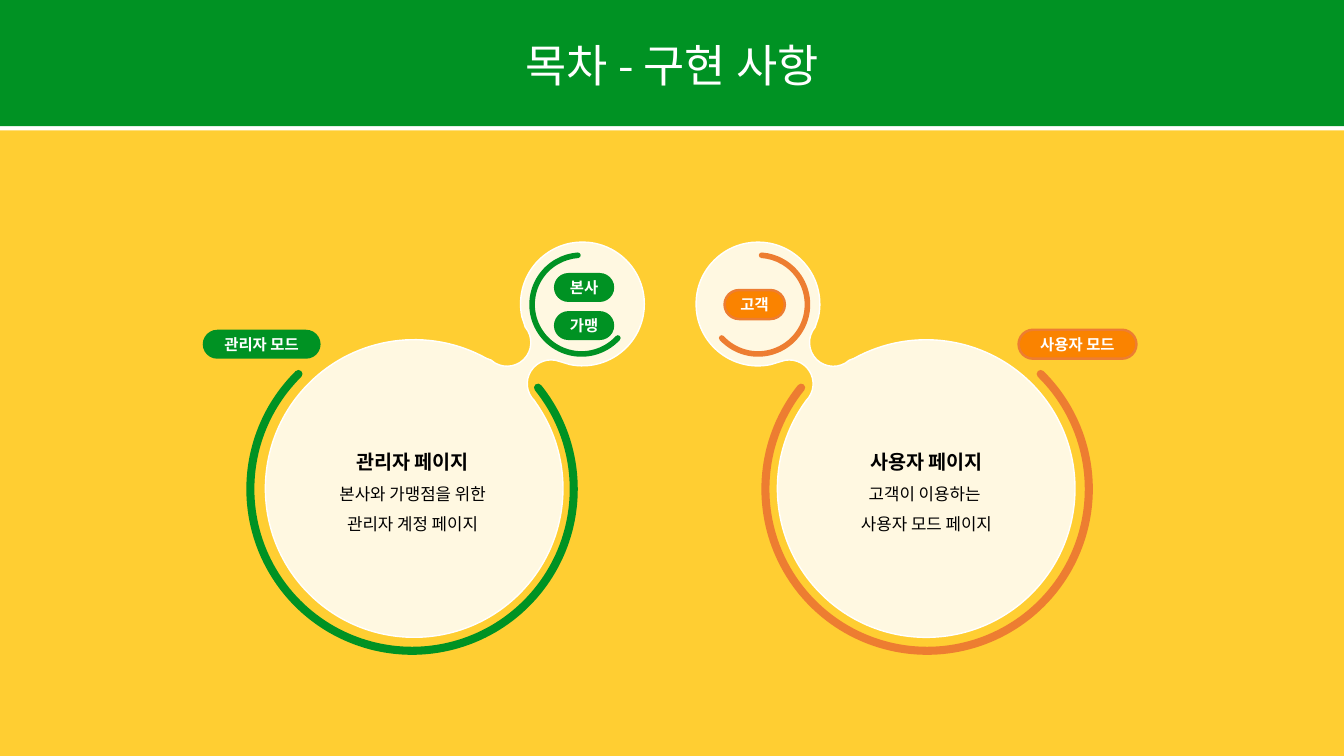
from dataclasses import dataclass
from math import cos, radians, sin, tan

from lxml import etree
from pptx import Presentation
from pptx import util as u
from pptx.dml.color import RGBColor
from pptx.enum import shapes, text
from pptx.oxml import ns

FONT = "Noto Sans CJK KR"
GREEN, ORANGE, ORANGE_LINE = "009223", "FA8300", "ED7D31"
YELLOW, CREAM, WHITE, BLACK = "FFCE32", "FFF8E1", "FFFFFF", "000000"
MIRROR_WIDTH = 33.78


@dataclass
class Box:
    left: float
    top: float
    width: float
    height: float

    def lengths(self) -> list:
        return [u.Cm(value) for value in (self.left, self.top, self.width, self.height)]


@dataclass
class Curve:
    x: float
    y: float
    radius: float
    angles: list

    def point(self, angle: float, lead: float = 0) -> tuple:
        a = radians(angle)
        return (self.x + self.radius * (cos(a) - lead * sin(a)),
                self.y + self.radius * (sin(a) + lead * cos(a)))

    def steps(self) -> list:
        result = [[self.point(self.angles[0])]]
        for start, end in zip(self.angles, self.angles[1:]):
            lead = 4 / 3 * tan(radians(end - start) / 4)
            result.append([self.point(start, lead), self.point(end, -lead), self.point(end)])
        return result


@dataclass
class Ring:
    box: Box
    start: float
    end: float
    weight: float


@dataclass
class Pill:
    box: Box
    label: str


@dataclass
class Side:
    mirrored: bool
    fill: str
    ring_color: str
    outlined: bool
    text_box: Box
    lines: list
    rings: list
    pills: list


BLOB_CENTER = (11.9, 10.86)
BLOB_CURVES = [
    Curve(14.68, 7.65, 1.56, [168, 225, 315, 405, 462]),
    Curve(13.89, 9.66, 0.6, [290, 212, 135]),
    Curve(10.44, 12.3, 3.75, [-34, 45, 135, 225, 299]),
    Curve(12.78, 8.62, 0.6, [132, 46, -40]),
]

SIDES = [
    Side(False, GREEN, GREEN, False, Box(7.34, 10.92, 6.12, 2.69),
         ["관리자 페이지", "본사와 가맹점을 위한", "관리자 계정 페이지"],
         [Ring(Box(6.31, 8.25, 8.15, 8.15), 321.16, 225.38, 5.75),
          Ring(Box(13.41, 6.43, 2.49, 2.49), 42.62, 265.87, 4)],
         [Pill(Box(5.11, 8.31, 2.97, 0.73), "관리자 모드"),
          Pill(Box(13.96, 6.88, 1.52, 0.73), "본사"),
          Pill(Box(13.96, 7.84, 1.52, 0.73), "가맹")]),
    Side(True, ORANGE, ORANGE_LINE, True, Box(20.29, 10.92, 6.12, 2.69),
         ["사용자 페이지", "고객이 이용하는 ", "사용자 모드 페이지"],
         [Ring(Box(19.29, 8.25, 8.15, 8.15), 314.62, 218.84, 5.75),
          Ring(Box(17.86, 6.43, 2.49, 2.49), 274.13, 137.38, 4)],
         [Pill(Box(25.67, 8.31, 2.97, 0.73), "사용자 모드"),
          Pill(Box(18.26, 7.31, 1.52, 0.73), "고객")]),
]


def color(value: str) -> RGBColor:
    return RGBColor.from_string(value)


def style(shape, fill: str | None, line: str | None = None, weight: float = 1) -> None:
    shape.shadow.inherit = False
    if fill:
        shape.fill.solid()
        shape.fill.fore_color.rgb = color(fill)
    else:
        shape.fill.background()
    if line:
        shape.line.color.rgb = color(line)
        shape.line.width = u.Pt(weight)
    else:
        shape.line.fill.background()


def set_font(paragraph, size: float, value: str, bold: bool = False) -> None:
    paragraph.alignment = text.PP_ALIGN.CENTER
    font = paragraph.font
    font.name, font.size, font.bold = FONT, u.Pt(size), bold
    font.color.rgb = color(value)
    etree.SubElement(font._rPr, ns.qn("a:ea"), typeface=FONT)


def add_text_box(slide, box: Box, content: str) -> list:
    frame = slide.shapes.add_textbox(*box.lengths()).text_frame
    frame.word_wrap = True
    frame.auto_size = text.MSO_AUTO_SIZE.SHAPE_TO_FIT_TEXT
    frame.text = content
    for paragraph in frame.paragraphs:
        paragraph.line_spacing = 1.5
    return frame.paragraphs


def draw_header(slide) -> None:
    band = slide.shapes.add_shape(shapes.MSO_SHAPE.RECTANGLE, *Box(0, 0, 33.87, 3.18).lengths())
    style(band, GREEN)
    effects = band._element.spPr.find(ns.qn("a:effectLst"))
    shadow = etree.SubElement(effects, ns.qn("a:outerShdw"), blurRad="0",
                              dist=str(u.Pt(3)), dir="5400000", algn="t", rotWithShape="0")
    etree.SubElement(shadow, ns.qn("a:srgbClr"), val=WHITE)
    title = add_text_box(slide, Box(8.47, 0.15, 16.94, 2.31), "목차 - 구현 사항")
    set_font(title[0], 32, WHITE)


def blob_point(point: tuple, mirrored: bool) -> tuple:
    center_x, center_y = BLOB_CENTER
    dx, dy = point[0] - center_x, point[1] - center_y
    turn = radians(-45)
    x = center_x + dx * cos(turn) - dy * sin(turn)
    y = center_y + dx * sin(turn) + dy * cos(turn)
    return u.Cm(MIRROR_WIDTH - x if mirrored else x), u.Cm(y)


def draw_blob(slide, mirrored: bool) -> None:
    steps = [[blob_point(point, mirrored) for point in step]
             for curve in BLOB_CURVES for step in curve.steps()]
    builder = slide.shapes.build_freeform(*steps[0][-1])
    builder.add_line_segments([step[-1] for step in steps[1:]], close=True)
    blob = builder.convert_to_shape()
    segments = list(blob._element.iter(ns.qn("a:lnTo")))
    for segment, step in zip(segments, steps[1:]):
        if len(step) == 3:
            segment.tag = ns.qn("a:cubicBezTo")
            for index, (x, y) in enumerate(step[:2]):
                control = etree.Element(ns.qn("a:pt"), x=str(x - blob.left), y=str(y - blob.top))
                segment.insert(index, control)
    blob.rotation = 315 if mirrored else 45
    style(blob, CREAM, WHITE)


def draw_ring(slide, ring: Ring, line: str) -> None:
    arc = slide.shapes.add_shape(shapes.MSO_SHAPE.ARC, *ring.box.lengths())
    arc.adjustments[0] = ring.start * 0.6
    arc.adjustments[1] = ring.end * 0.6
    style(arc, None, line, ring.weight)
    arc.line._get_or_add_ln().set("cap", "rnd")


def draw_pill(slide, pill: Pill, fill: str, line: str | None) -> None:
    shape = slide.shapes.add_shape(shapes.MSO_SHAPE.ROUNDED_RECTANGLE, *pill.box.lengths())
    shape.adjustments[0] = 0.5
    style(shape, fill, line, 1.75)
    frame = shape.text_frame
    frame.word_wrap = False
    frame.vertical_anchor = text.MSO_ANCHOR.MIDDLE
    frame.text = pill.label
    set_font(frame.paragraphs[0], 11, WHITE, True)


def draw_side(slide, side: Side) -> None:
    draw_blob(slide, side.mirrored)
    for index, paragraph in enumerate(add_text_box(slide, side.text_box, "\n".join(side.lines))):
        set_font(paragraph, 12 if index else 14, BLACK, index == 0)
    for ring in side.rings:
        draw_ring(slide, ring, side.ring_color)
    for pill in side.pills:
        draw_pill(slide, pill, side.fill, side.ring_color if side.outlined else None)


def main() -> None:
    presentation = Presentation()
    presentation.slide_width, presentation.slide_height = u.Cm(33.87), u.Cm(19.05)
    slide = presentation.slides.add_slide(presentation.slide_layouts[6])
    slide.background.fill.solid()
    slide.background.fill.fore_color.rgb = color(YELLOW)
    draw_header(slide)
    for side in SIDES:
        draw_side(slide, side)
    presentation.save("out.pptx")


if __name__ == "__main__":
    main()
